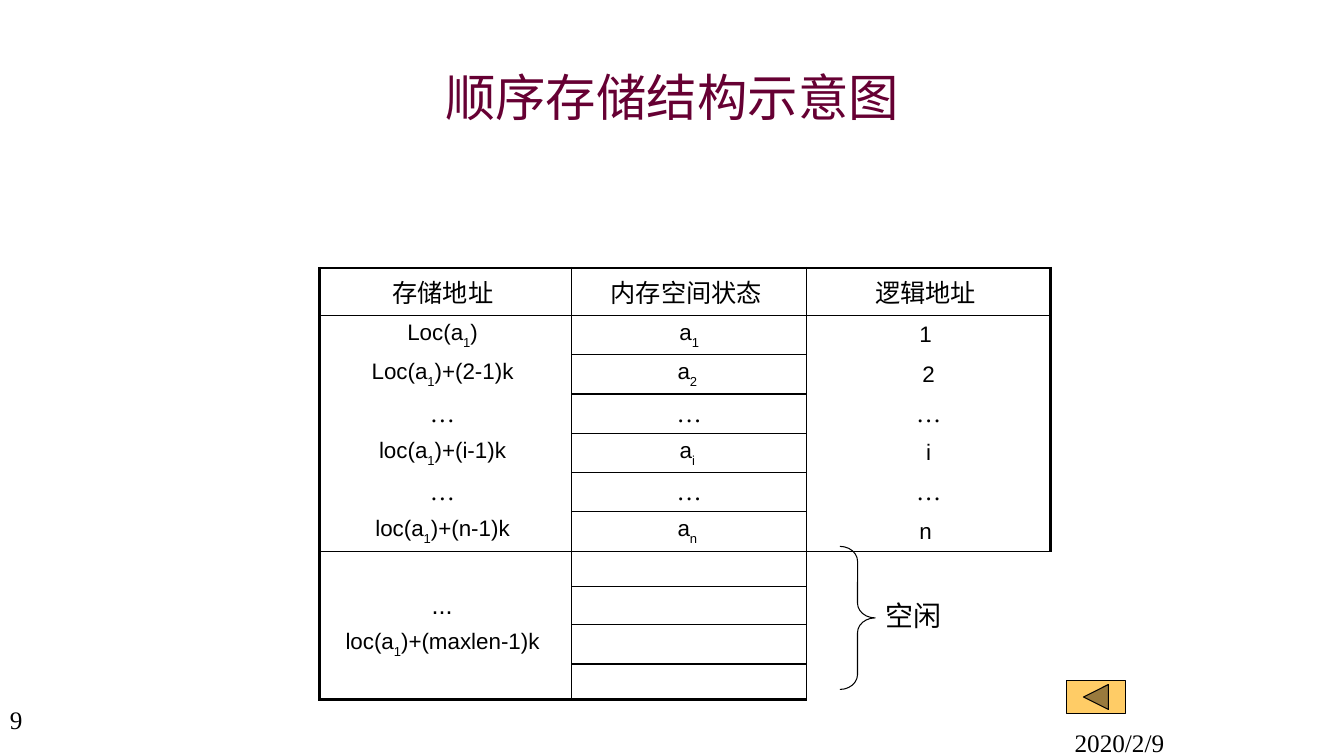
"""Build the slide on how a sequential list is stored in memory."""
from dataclasses import dataclass

from lxml import etree
from pptx import Presentation
from pptx import util as u
from pptx.dml import color
from pptx.enum import shapes, text
from pptx.oxml import ns

HUES = {"ink": "000000", "plum": "660033", "gold": "FFCC66", "paper": "FFFFFF"}
SERIF, SANS, HAN = "Times New Roman", "Arial", "Noto Sans CJK SC"
KIND = shapes.MSO_SHAPE
ALIGN = text.PP_ALIGN
THICK, THIN = 2.25, 1
LAST_USED, LAST = 6, 10
WIDTHS = (2.5, 2.33, 2.42)


@dataclass
class Row:
    """One table row; underscores enclose subscripts."""
    texts: tuple
    high: float = 0.39
    size: float = 16
    face: str = SANS


@dataclass
class Label:
    """A small text box."""
    words: str
    box: tuple


@dataclass
class Form:
    """A preset shape."""
    kind: shapes.MSO_SHAPE
    box: tuple
    fill: str = ""
    line: str = ""


DOTS = Row(("… ", "…", "…"), size=18, face=SERIF)
ROWS = (
    Row(("存储地址 ", "内存空间状态 ", "逻辑地址 "), 0.47, 18, HAN),
    Row(("Loc(a_1_) ", "a_1", "1 ")),
    Row(("Loc(a_1_)+(2-1)k ", "a_2 ", "2")),
    DOTS,
    Row(("loc(a_1_)+(i-1)k ", "a_i ", "i")),
    DOTS,
    Row(("loc(a_1_)+(n-1)k ", "a_n ", "n ")),
    Row(("", "", ""), 0.35),
    Row(("... ", "", ""), 0.38, 18),
    Row(("loc(a_1_)+(maxlen-1)k ", "", "")),
    Row(("", "", ""), 0.35),
)
LABELS = (
    Label("2020/2/9", (10.56, 7.17, 2.78, 0.33)),
    Label("9", (0, 6.94, 0.86, 0.53)),
)
BUTTON = Form(KIND.ACTION_BUTTON_BACK_OR_PREVIOUS, (10.58, 6.75, 0.58, 0.33), "gold", "ink")
PATCH = Form(KIND.RECTANGLE, (8.5, 5.89, 1.42, 0.71), "paper")
BRACE = Form(KIND.RIGHT_BRACE, (8.33, 5.42, 0.35, 1.42), "", "ink")


def place(box: tuple) -> list:
    """Turn a box in inches into lengths."""
    return [u.Inches(n) for n in box]


def tint(name: str) -> color.RGBColor:
    """Look up a colour."""
    return color.RGBColor.from_string(HUES[name])


def write(para, words: str, size: float, face: str, hue: str = "ink", align=ALIGN.LEFT) -> None:
    """Fill a paragraph, lowering the parts between underscores."""
    para.alignment = align
    for i, part in enumerate(words.split("_")):
        if part:
            run = para.add_run()
            run.text = part
            if i % 2:
                run._r.get_or_add_rPr().set("baseline", "-30000")
    font = para.font
    font.size, font.name, font.bold = u.Pt(size), face, False
    font.color.rgb = tint(hue)


def draw(tree, form: Form):
    """Add a preset shape."""
    shape = tree.add_shape(form.kind, *place(form.box))
    shape.shadow.inherit = False
    if form.fill:
        shape.fill.solid()
        shape.fill.fore_color.rgb = tint(form.fill)
    else:
        shape.fill.background()
    if form.line:
        shape.line.color.rgb = tint(form.line)
        shape.line.width = u.Pt(0.75)
    else:
        shape.line.fill.background()
    return shape


def edges(row: int, col: int) -> dict:
    """Give the border widths of a cell, zero for none."""
    used = row <= LAST_USED
    mid = col == 1
    top = THICK if row == 0 else THIN * (mid or row in (1, LAST_USED + 1))
    base = THIN * (mid or row in (0, LAST_USED))
    if row == LAST and col < 2:
        base = THICK
    right = THIN if col < 2 else THICK * used
    return {"L": THIN if col else THICK, "R": right, "T": top, "B": base}


def frame(cell, sides: dict) -> None:
    """Set the borders of a cell."""
    props = cell._tc.get_or_add_tcPr()
    for i, (side, width) in enumerate(sides.items()):
        line = etree.Element(ns.qn(f"a:ln{side}"), w=str(u.Pt(width)))
        if width:
            fill = etree.SubElement(line, ns.qn("a:solidFill"))
            etree.SubElement(fill, ns.qn("a:srgbClr"), val=HUES["ink"])
        else:
            etree.SubElement(line, ns.qn("a:noFill"))
        props.insert(i, line)


def grid(tree) -> None:
    """Add the storage table."""
    high = sum(row.high for row in ROWS)
    box = place((3.17, 2.66, sum(WIDTHS), high))
    table = tree.add_table(len(ROWS), len(WIDTHS), *box).table
    table.first_row = table.horz_banding = False
    for col, width in zip(table.columns, WIDTHS):
        col.width = u.Inches(width)
    for r, row in enumerate(ROWS):
        table.rows[r].height = u.Inches(row.high)
        for c, words in enumerate(row.texts):
            cell = table.cell(r, c)
            cell.fill.background()
            cell.margin_top = cell.margin_bottom = u.Inches(0.02)
            cell.vertical_anchor = text.MSO_ANCHOR.MIDDLE
            write(cell.text_frame.paragraphs[0], words, row.size, row.face, align=ALIGN.CENTER)
            frame(cell, edges(r, c))
    table.cell(LAST_USED + 1, 2).merge(table.cell(LAST, 2))


def main() -> None:
    """Build and save the slide."""
    deck = Presentation()
    deck.slide_width, deck.slide_height = place((13.33, 7.5))
    slide = deck.slides.add_slide(deck.slide_layouts[5])
    tree = slide.shapes
    title = tree.title
    title.left, title.top, title.width, title.height = place((1, 0.58, 11.33, 0.75))
    title.text_frame.vertical_anchor = text.MSO_ANCHOR.MIDDLE
    title.text_frame.auto_size = text.MSO_AUTO_SIZE.NONE
    write(title.text_frame.paragraphs[0], "顺序存储结构示意图", 36, SERIF, "plum", ALIGN.CENTER)
    for label in LABELS:
        body = tree.add_textbox(*place(label.box)).text_frame
        body.word_wrap = True
        write(body.paragraphs[0], label.words, 18, SERIF)
    draw(tree, BUTTON)
    grid(tree)
    group = tree.add_group_shape().shapes
    body = draw(group, PATCH).text_frame
    body.word_wrap = True
    body.vertical_anchor = text.MSO_ANCHOR.TOP
    body.margin_left = u.Inches(0.28)
    write(body.paragraphs[0], "空闲", 20, SERIF, align=ALIGN.JUSTIFY)
    brace = draw(group, BRACE)
    brace.adjustments[0], brace.adjustments[1] = 0.42, 0.5
    deck.save("out.pptx")


if __name__ == "__main__":
    main()
